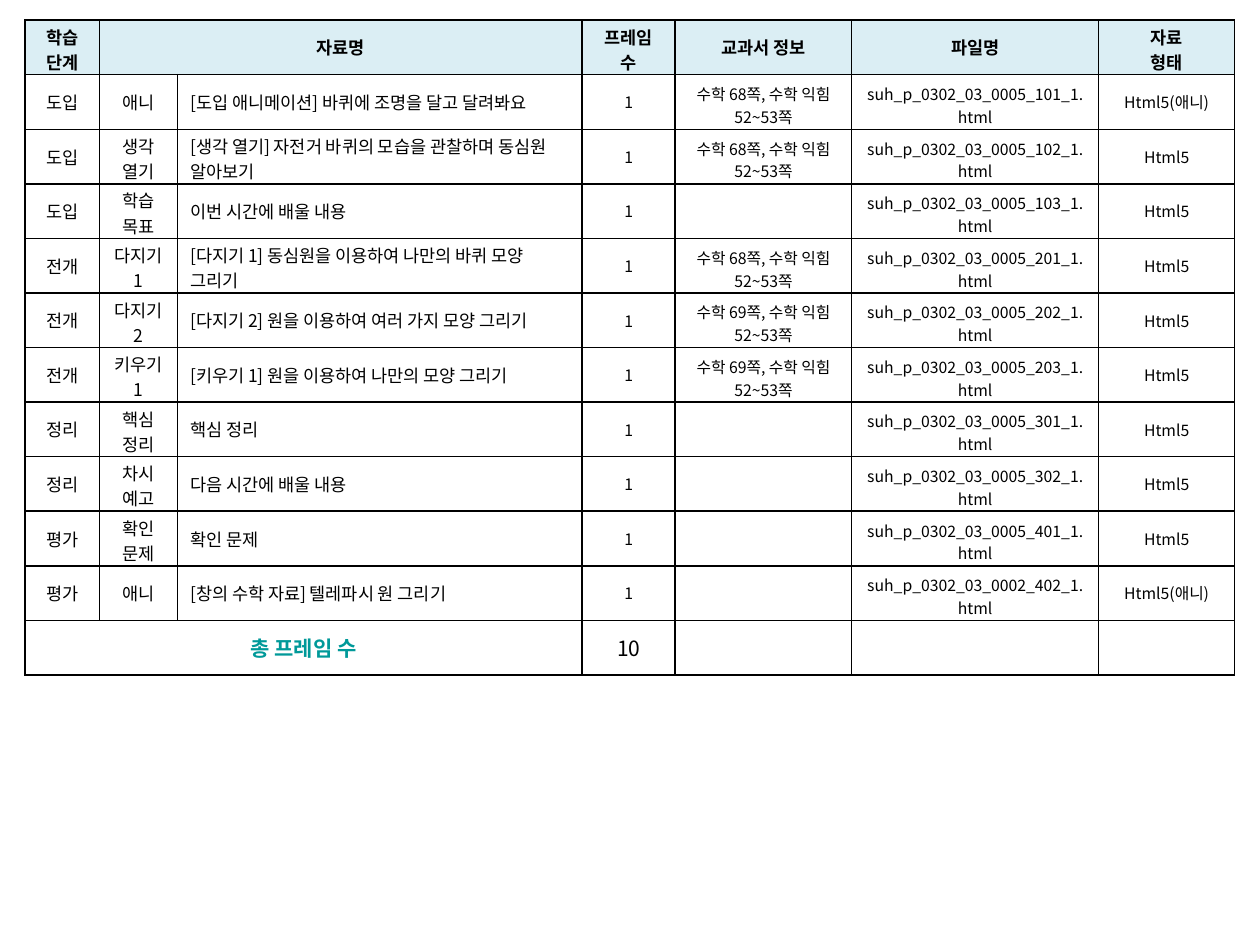
from lxml import etree
from pptx import Presentation
from pptx.dml.color import RGBColor
from pptx.enum.text import MSO_ANCHOR, PP_ALIGN
from pptx.oxml.ns import qn
from pptx.util import Inches, Pt

FONT = "Noto Sans CJK KR"
BLACK, WHITE, TEAL, PALE_BLUE = "000000", "FFFFFF", "009999", "DBEEF4"


def style_cell(cell, fill):
    """Draw a thin black border on all four sides, then fill and centre vertically."""
    properties = cell._tc.get_or_add_tcPr()
    for side in ("lnL", "lnR", "lnT", "lnB"):
        line = etree.SubElement(properties, qn(f"a:{side}"), w=str(Pt(1)))
        solid = etree.SubElement(line, qn("a:solidFill"))
        etree.SubElement(solid, qn("a:srgbClr"), val=BLACK)
    cell.fill.solid()
    cell.fill.fore_color.rgb = RGBColor.from_string(fill)
    cell.vertical_anchor = MSO_ANCHOR.MIDDLE


def write_cell(cell, text, size, color=BLACK, bold=False, align=PP_ALIGN.CENTER, two_lines=False):
    """Write one paragraph per line; two_lines trims the margins so the row keeps its height."""
    if two_lines:
        cell.margin_top = Inches(0.03 if size == 10 else 0.05)
        cell.margin_bottom = 0
    for index, line in enumerate(text.split("\n")):
        frame = cell.text_frame
        paragraph = frame.add_paragraph() if index else frame.paragraphs[0]
        paragraph.alignment = align
        if not line:
            etree.SubElement(paragraph._p, qn("a:endParaRPr"), sz=str(size * 100))
            continue
        run = paragraph.add_run()
        run.text = line
        run.font.size = Pt(size)
        run.font.bold = bold
        run.font.name = FONT
        run.font.color.rgb = RGBColor.from_string(color)
        etree.SubElement(run.font._element, qn("a:ea"), typeface=FONT)


headings = ["학습 단계", "자료명", "", "프레임 수", "교과서 정보", "파일명", "자료\n형태"]
page_68 = "수학 68쪽, 수학 익힘 52~53쪽"
page_69 = "수학 69쪽, 수학 익힘 52~53쪽"
# stage, activity, title, textbook pages, file number, format
materials = [
    ("도입", "애니", "[도입 애니메이션] 바퀴에 조명을 달고 달려봐요", page_68, "0005_101", "Html5(애니)"),
    ("도입", "생각 열기", "[생각 열기] 자전거 바퀴의 모습을 관찰하며 동심원 알아보기", page_68, "0005_102", "Html5"),
    ("도입", "학습 목표", "이번 시간에 배울 내용", "", "0005_103", "Html5"),
    ("전개", "다지기 1", "[다지기 1] 동심원을 이용하여 나만의 바퀴 모양 그리기", page_68, "0005_201", "Html5"),
    ("전개", "다지기 2", "[다지기 2] 원을 이용하여 여러 가지 모양 그리기", page_69, "0005_202", "Html5"),
    ("전개", "키우기1", "[키우기 1] 원을 이용하여 나만의 모양 그리기", page_69, "0005_203", "Html5"),
    ("정리", "핵심 정리", "핵심 정리", "", "0005_301", "Html5"),
    ("정리", "차시 예고", "다음 시간에 배울 내용", "", "0005_302", "Html5"),
    ("평가", "확인 문제", "확인 문제", "", "0005_401", "Html5"),
    ("평가", "애니", "[창의 수학 자료] 텔레파시 원 그리기", "", "0002_402", "Html5(애니)"),
]
column_widths = [0.59, 0.62, 3.21, 0.74, 1.4, 1.96, 1.08]
# most characters that fit on one line of each column
line_limits = [2, 3, 28, 3, 10, 26, 10]
row_count = len(materials) + 2
total_row = row_count - 1

presentation = Presentation()
presentation.slide_width = Inches(10)
presentation.slide_height = Inches(7.5)
slide = presentation.slides.add_slide(presentation.slide_layouts[6])

table = slide.shapes.add_table(
    row_count, len(column_widths), Inches(0.2), Inches(0.16), Inches(9.6), Inches(5.2)
).table
table.first_row = False
table.horz_banding = False
for column, width in zip(table.columns, column_widths):
    column.width = Inches(width)
for row_index, row in enumerate(table.rows):
    row.height = Inches(5.2 / row_count)
    for cell in row.cells:
        style_cell(cell, WHITE if row_index else PALE_BLUE)

table.cell(0, 1).merge(table.cell(0, 2))
table.cell(total_row, 0).merge(table.cell(total_row, 2))

for column_index, heading in enumerate(headings):
    write_cell(
        table.cell(0, column_index), heading, 10, bold=True, two_lines=column_index in (0, 3, 6)
    )

for row_index, (stage, activity, title, pages, number, kind) in enumerate(materials, 1):
    file_name = f"suh_p_0302_03_{number}_1.html"
    values = [stage, activity, title, "1", pages, file_name, kind]
    for column_index, value in enumerate(values):
        write_cell(
            table.cell(row_index, column_index),
            value,
            10 if column_index < 3 else 9,
            align=PP_ALIGN.LEFT if column_index == 2 else PP_ALIGN.CENTER,
            two_lines=len(value) > line_limits[column_index],
        )

totals = ["총 프레임 수", "", "", "10", "", "", ""]
for column_index, value in enumerate(totals):
    is_label = column_index == 0
    write_cell(
        table.cell(total_row, column_index),
        value,
        12,
        color=TEAL if is_label else BLACK,
        bold=is_label,
    )

presentation.save("out.pptx")
